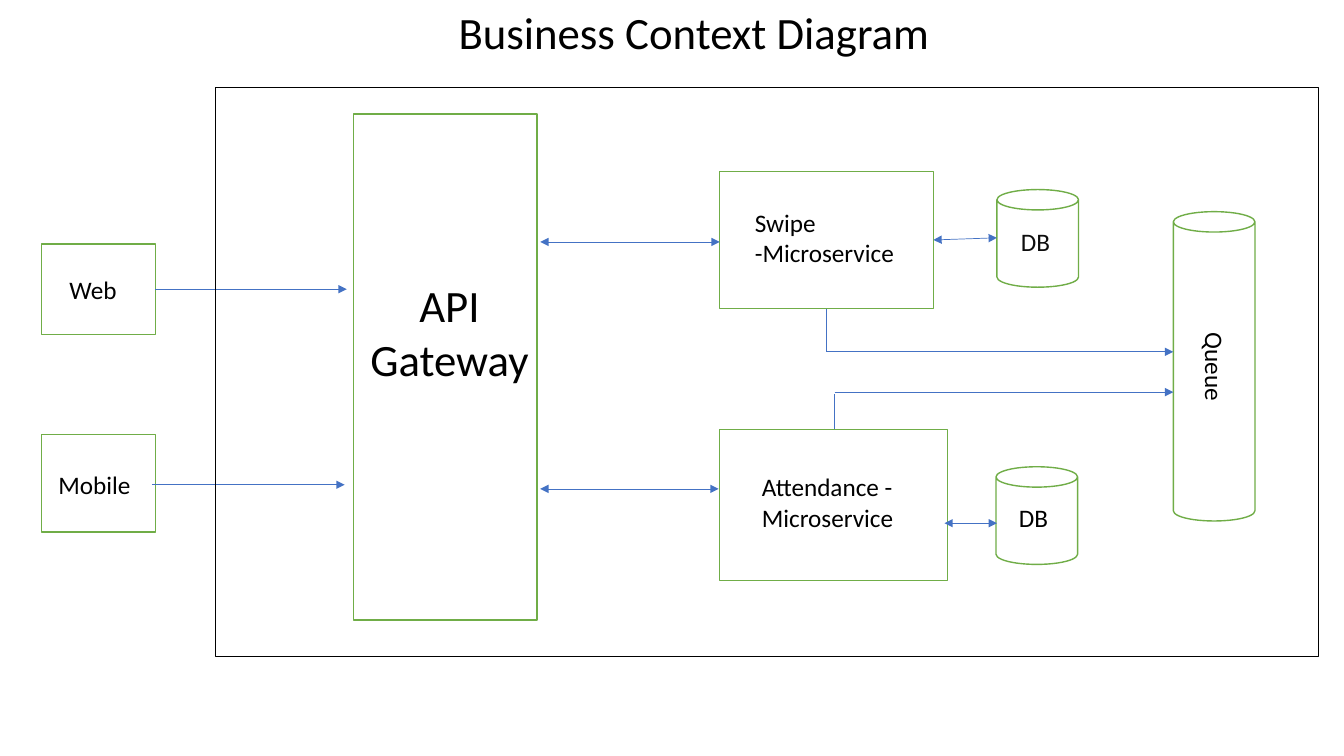
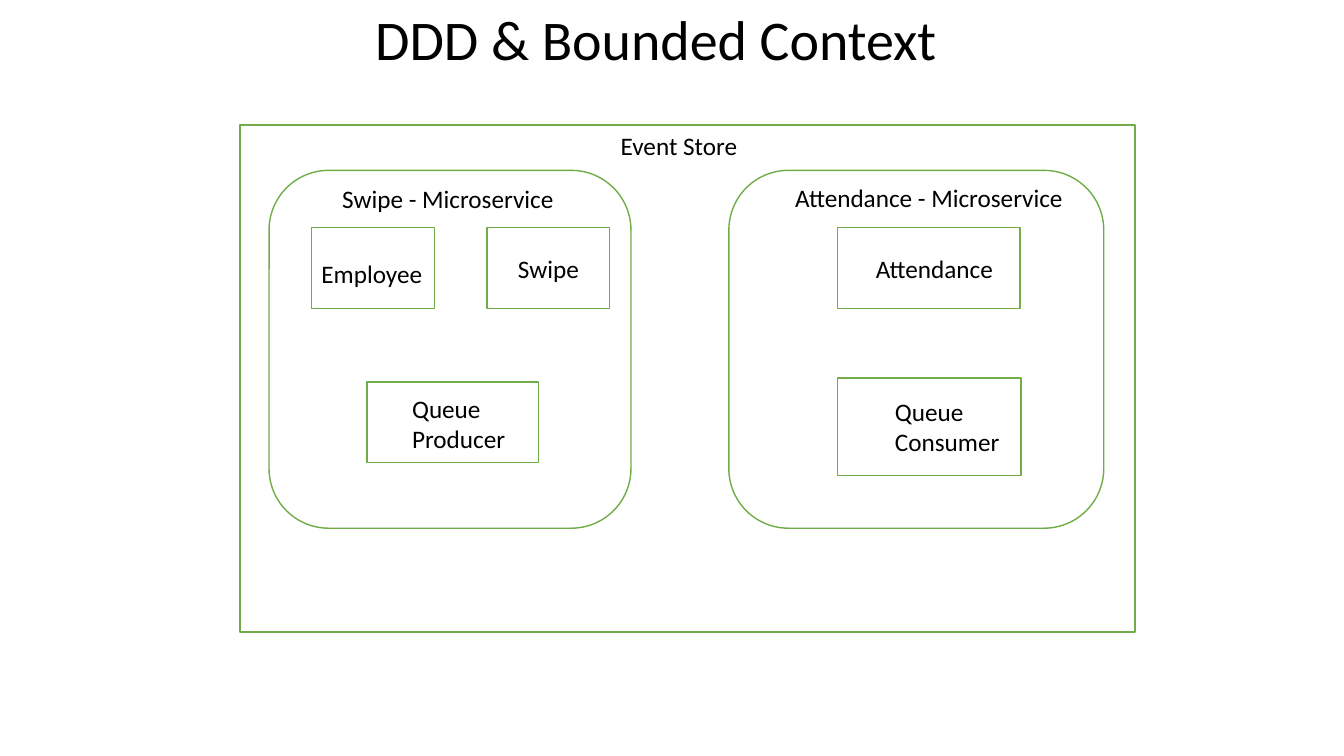
"""Build two architecture slides: the business context and the bounded contexts."""
from lxml import etree
from pptx import Presentation
from pptx.dml.color import RGBColor
from pptx.enum import shapes, text
from pptx.oxml import ns
from pptx.util import Pt

COLOURS = {"ink": "000000", "soft": "0D0D0D", "paper": "FFFFFF",
           "outline": "70AD47", "arrow": "4472C4"}
KINDS = {"box": shapes.MSO_SHAPE.RECTANGLE, "can": shapes.MSO_SHAPE.CAN,
         "round": shapes.MSO_SHAPE.ROUNDED_RECTANGLE}
LABEL = {"name": "Calibri", "size": Pt(18)}
FRAME = {"word_wrap": True, "auto_size": text.MSO_AUTO_SIZE.SHAPE_TO_FIT_TEXT}
CENTRE = text.PP_ALIGN.CENTER
LEFT = text.PP_ALIGN.LEFT


def colour(name):
    """Return the named colour."""
    return RGBColor.from_string(COLOURS[name])


def apply(target, values):
    """Set each attribute of a format dict."""
    for name, value in values.items():
        setattr(target, name, value)


def add_box(slide, kind, left, top, width, height, fill="paper", line="outline", weight=1):
    """Add an outlined shape, without a fill if fill is None."""
    shape = slide.shapes.add_shape(KINDS[kind], Pt(left), Pt(top), Pt(width), Pt(height))
    shape.shadow.inherit = False
    if fill:
        shape.fill.solid()
        shape.fill.fore_color.rgb = colour(fill)
    else:
        shape.fill.background()
    shape.line.color.rgb = colour(line)
    shape.line.width = Pt(weight)


def add_label(slide, words, left, top, width, lines=1, size=18, align=LEFT,
              ink="ink", rotation=0):
    """Add a text box as high as its number of lines."""
    height = 7.2 + 1.2 * size * lines
    box = slide.shapes.add_textbox(Pt(left), Pt(top), Pt(width), Pt(height))
    box.rotation = rotation
    apply(box.text_frame, FRAME)
    box.text_frame.text = words
    for paragraph in box.text_frame.paragraphs:
        paragraph.alignment = align
        apply(paragraph.font, {**LABEL, "size": Pt(size)})
        paragraph.font.color.rgb = colour(ink)


def add_title(slide, words, left, width, size):
    """Add a centred title at the top edge."""
    add_label(slide, words, left, 0, width, size=size, align=CENTRE)


def add_line(slide, start, end, *heads):
    """Add a thin line with arrowheads at the given ends."""
    line = slide.shapes.add_connector(shapes.MSO_CONNECTOR.STRAIGHT,
                                      *(Pt(value) for value in (*start, *end)))
    line.line.color.rgb = colour("arrow")
    line.line.width = Pt(0.5)
    for head in heads:
        etree.SubElement(line.line._get_or_add_ln(), ns.qn(f"a:{head}"), type="triangle")
    etree.SubElement(line._element.spPr, ns.qn("a:effectLst"))


def build_context(slide):
    """Draw clients, gateway, services, stores and the queue."""
    add_box(slide, "box", 252.7, 81.4, 131, 361.4)
    add_label(slide, "API\nGateway", 255.6, 195.1, 131, lines=2, size=32, align=CENTRE)
    for box in (("box", 514.1, 122.4, 152.6, 97.9), ("box", 514.1, 306.7, 162.7, 108),
                ("can", 711.4, 333.4, 58.3, 69.8), ("can", 712.1, 135.4, 58.3, 69.8),
                ("can", 838.1, 151.2, 58.3, 221),
                ("box", 29.5, 174.2, 81.4, 64.8), ("box", 29.5, 310.3, 81.4, 69.8)):
        add_box(slide, *box)
    for label in (("Attendance - Microservice", 537.1, 333.4, 109.4, 2),
                  ("Swipe -Microservice", 532.1, 144.7, 117.4, 2),
                  ("DB", 720.7, 355, 48.2),
                  ("Web", 42.5, 192.2, 63.4), ("Mobile", 34.6, 331.9, 74.2)):
        add_label(slide, *label)
    add_label(slide, "DB", 722.2, 158.4, 48.2, ink="soft")
    add_label(slide, "Queue", 793.4, 247.7, 149, align=CENTRE, rotation=90)
    for start, end in (((110.9, 206.6), (247.7, 206.6)), ((108.7, 346.3), (246.2, 346.3)),
                       ((590.4, 251.3), (838.1, 251.3)), ((596.2, 280.1), (838.1, 280.1))):
        add_line(slide, start, end, "tailEnd")
    for start, end in (((385.9, 172.8), (514.1, 172.8)), ((385.9, 349.2), (513.4, 349.2)),
                       ((666.7, 171.4), (712.1, 169.9)), ((674.6, 373.7), (712.1, 373.7))):
        add_line(slide, start, end, "headEnd", "tailEnd")
    add_line(slide, (590.4, 221), (590.4, 251.3))
    add_line(slide, (596.2, 306.7), (596.2, 281.5))
    add_title(slide, "Business Context Diagram", 247.7, 496.1, 32)
    add_box(slide, "box", 154.1, 62.6, 787.7, 406.1, fill=None, line="ink", weight=0.75)


def build_bounded(slide):
    """Draw the event store with its two microservices."""
    add_title(slide, "DDD & Bounded Context", 203.8, 529.2, 40)
    for box in (("box", 171.4, 89.3, 639.4, 362.2),
                ("round", 192.2, 121.7, 258.5, 255.6), ("round", 520.6, 121.7, 267.8, 255.6),
                ("box", 222.5, 162.7, 87.8, 57.6), ("box", 347.8, 162.7, 87.8, 57.6),
                ("box", 262.1, 272.9, 122.4, 57.6), ("box", 598.3, 162.7, 130.3, 57.6),
                ("box", 598.3, 270, 131, 69.8)):
        add_box(slide, *box)
    for label in (("Employee", 222.5, 180.7, 87.8), ("Swipe", 362.9, 177.1, 87.8),
                  ("Queue Producer", 287.3, 277.2, 122.4, 2),
                  ("Attendance", 618.5, 177.1, 110.2),
                  ("Queue Consumer", 632.2, 279.4, 96.5, 2),
                  ("Attendance - Microservice", 560.9, 126.7, 213.1)):
        add_label(slide, *label)
    add_label(slide, "Event Store", 383.8, 89.3, 202.3, align=CENTRE)
    add_label(slide, "Swipe - Microservice", 231.1, 127.4, 177.8, align=CENTRE)


def main():
    """Build and save the presentation."""
    presentation = Presentation()
    apply(presentation, {"slide_width": Pt(960), "slide_height": Pt(540)})
    for build in (build_context, build_bounded):
        build(presentation.slides.add_slide(presentation.slide_layouts[6]))
    presentation.save("out.pptx")


main()
